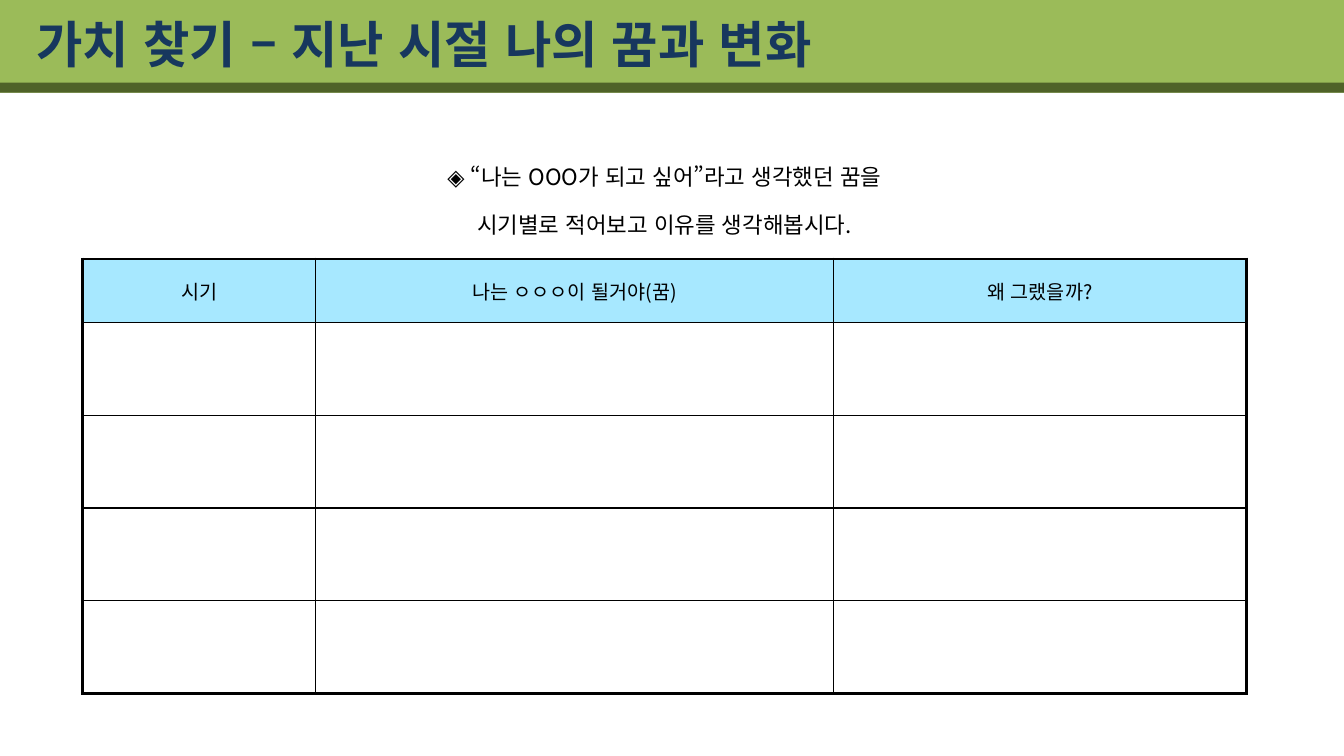
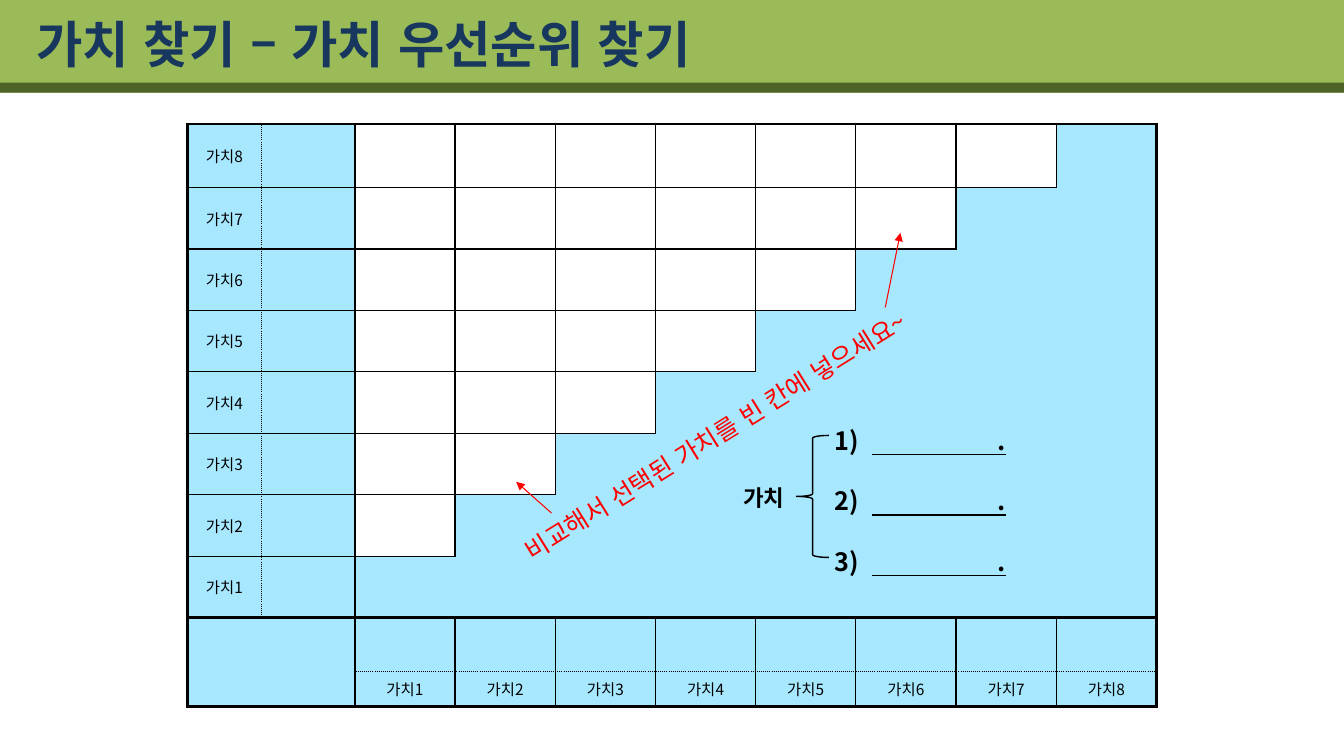
import lxml.etree
import pptx
import pptx.dml.color
import pptx.enum.shapes
import pptx.enum.text
import pptx.oxml
import pptx.oxml.ns
import pptx.util

Inches = pptx.util.Inches
Pt = pptx.util.Pt
qn = pptx.oxml.ns.qn
SHAPE = pptx.enum.shapes.MSO_SHAPE
ALIGN = pptx.enum.text.PP_ALIGN
ANCHOR = pptx.enum.text.MSO_ANCHOR

COLORS = {
    "band": "9BBB59",
    "stripe": "4F6228",
    "title": "17375E",
    "cell": "A7E8FF",
    "ink": "000000",
    "paper": "FFFFFF",
    "hint": "FF0000",
}
KOREAN = "Noto Sans CJK KR"
PLAIN_TABLE = "{2D5ABB26-0587-4C30-8999-92F81FD0307C}"
THIN = (1, "solid")
HEAVY = (2.25, "solid")
DOTTED = (1, "sysDot")
VALUES = 8


def rgb(name):
    return pptx.dml.color.RGBColor.from_string(COLORS[name])


def add_element(parent, tag, **attributes):
    return lxml.etree.SubElement(parent, qn(tag), attributes)


def write(frame, text, size, color="ink", font=KOREAN, bold=False,
          align=ALIGN.LEFT, spacing=None, anchor=ANCHOR.TOP):
    frame.word_wrap = True
    frame.vertical_anchor = anchor
    frame.text = text
    for paragraph in frame.paragraphs:
        paragraph.alignment = align
        if spacing:
            paragraph.line_spacing = spacing
        for run in paragraph.runs:
            run.font.size = Pt(size)
            run.font.bold = bold
            run.font.color.rgb = rgb(color)
            run.font.name = font
            run.font._element.set("lang", "ko-KR")
            add_element(run.font._element, "a:ea", typeface=KOREAN)


def add_text(slide, box, text, rotation=0, **text_format):
    label = slide.shapes.add_textbox(*map(Inches, box))
    label.rotation = rotation
    write(label.text_frame, text, **text_format)
    return label


def add_bands(slide):
    layout_tree = slide.slide_layout.shapes.element
    bands = [("band", 0, 0.92), ("stripe", 0.82, 0.1)]
    for position, (color, top, height) in enumerate(bands, start=2):
        band = slide.shapes.add_shape(
            SHAPE.RECTANGLE, 0, Inches(top), Inches(13.33), Inches(height))
        band.shadow.inherit = False
        band.fill.solid()
        band.fill.fore_color.rgb = rgb(color)
        band.line.fill.background()
        layout_tree.insert(position, band.element)


def add_titled_slide(deck, text):
    slide = deck.slides.add_slide(deck.slide_layouts[5])
    title = slide.shapes.title
    title.left, title.top, title.width, title.height = map(
        Inches, (0.26, 0.05, 10.66, 0.76))
    write(title.text_frame, text, size=36, color="title", font="Arial",
          bold=True, anchor=ANCHOR.MIDDLE)
    return slide


def add_grid(slide, left, top, widths, heights):
    frame = slide.shapes.add_table(
        len(heights), len(widths), Inches(left), Inches(top),
        Inches(sum(widths)), Inches(sum(heights)))
    grid = frame.table
    grid.first_row = grid.horz_banding = False
    grid._tbl.tblPr.find(qn("a:tableStyleId")).text = PLAIN_TABLE
    for column, width in zip(grid.columns, widths):
        column.width = Inches(width)
    for row, height in zip(grid.rows, heights):
        row.height = Inches(height)
    return grid


def style_cell(cell, fill, left, right, top, bottom, line="ink"):
    properties = cell._tc.get_or_add_tcPr()
    edges = {"a:lnL": left, "a:lnR": right, "a:lnT": top, "a:lnB": bottom}
    for tag, edge in edges.items():
        border = add_element(properties, tag)
        if edge:
            weight, dash = edge
            border.set("w", str(Pt(weight)))
            paint = add_element(border, "a:solidFill")
            add_element(paint, "a:srgbClr", val=COLORS[line])
            add_element(border, "a:prstDash", val=dash)
        else:
            add_element(border, "a:noFill")
    if fill:
        cell.fill.solid()
        cell.fill.fore_color.rgb = rgb(fill)
    else:
        cell.fill.background()


def write_cell(cell, text, size, **text_format):
    write(cell.text_frame, text, size=size, align=ALIGN.CENTER, **text_format)
    cell.vertical_anchor = ANCHOR.MIDDLE


def add_line(slide, start, end, color, weight, arrow=False):
    line = slide.shapes.add_connector(
        pptx.enum.shapes.MSO_CONNECTOR.STRAIGHT, *map(Inches, start + end))
    line.line.color.rgb = rgb(color)
    line.line.width = Pt(weight)
    if arrow:
        add_element(line.line._get_or_add_ln(), "a:tailEnd", type="triangle")
    add_element(line._element.spPr, "a:effectLst")


def add_brace(slide, box):
    brace = slide.shapes.add_shape(SHAPE.LEFT_BRACE, *map(Inches, box))
    brace.shadow.inherit = False
    brace.fill.background()
    brace.line.color.rgb = rgb("ink")
    brace.line.width = Pt(1)


def add_ranking_blanks(slide, box, count):
    blanks = add_text(slide, box, "\n".join(["\t."] * count), size=18,
                      bold=True, spacing=2)
    for number, paragraph in enumerate(blanks.text_frame.paragraphs):
        properties = paragraph._p.get_or_add_pPr()
        properties.set("marL", str(Inches(0.38)))
        properties.set("indent", str(Inches(-0.38)))
        add_element(properties, "a:buFont", typeface="+mj-lt")
        add_element(properties, "a:buAutoNum", type="arabicParenR")
        stops = add_element(properties, "a:tabLst")
        add_element(stops, "a:tab", pos=str(Inches(1.7)), algn="r")
        baseline = 4.51 + 0.6 * number
        add_line(slide, (8.65, baseline), (9.98, baseline), "ink", 1)


def add_dream_table(slide):
    widths = [2.31, 5.14, 4.09]
    heights = [1.34, 0.63] + [0.92] * 4
    last_row, last_column = len(heights) - 1, len(widths) - 1
    grid = add_grid(slide, 0.82, 1.23, widths, heights)

    prompt = grid.cell(0, 0)
    prompt.merge(grid.cell(0, last_column))
    write_cell(prompt,
               "◈ “나는 OOO가 되고 싶어”라고 생각했던 꿈을\n시기별로 적어보고 이유를 생각해봅시다.",
               size=16, spacing=1.5)
    style_cell(prompt, None, HEAVY, HEAVY, HEAVY, None, line="paper")

    for row in range(1, last_row + 1):
        for column in range(last_column + 1):
            style_cell(
                grid.cell(row, column), "cell" if row == 1 else None,
                left=HEAVY if column == 0 else THIN,
                right=HEAVY if column == last_column else THIN,
                top=HEAVY if row == 1 else THIN,
                bottom=HEAVY if row == last_row else THIN)

    for column, heading in enumerate(["시기", "나는 ㅇㅇㅇ이 될거야(꿈)", "왜 그랬을까?"]):
        write_cell(grid.cell(1, column), heading, size=14)


def is_blank(row, column):
    return column >= 2 and row + column <= VALUES


def vertical_edge(row, column):
    if column in (0, 2, VALUES + 2):
        return HEAVY
    if column == 1:
        return DOTTED if row < VALUES else None
    return THIN if row >= VALUES or row + column <= VALUES + 1 else None


def horizontal_edge(row, column):
    if row in (0, VALUES, VALUES + 2):
        return HEAVY
    if row == VALUES + 1:
        return DOTTED if column >= 2 else None
    return THIN if column < 2 or row + column <= VALUES + 1 else None


def add_comparison_table(slide):
    label_widths = [0.73, 0.93]
    value_width = (9.61 - sum(label_widths)) / VALUES
    widths = label_widths + [value_width] * VALUES
    heights = [0.63] + [0.61] * (VALUES - 1) + [0.53, 0.35]
    grid = add_grid(slide, 1.86, 1.23, widths, heights)

    grid.cell(VALUES, 0).merge(grid.cell(VALUES + 1, 1))
    for column in range(4, VALUES + 2):
        first_row = max(3, VALUES + 2 - column)
        grid.cell(first_row, column).merge(grid.cell(VALUES - 1, column))

    for row in range(len(heights)):
        for column in range(len(widths)):
            cell = grid.cell(row, column)
            style_cell(
                cell, None if is_blank(row, column) else "cell",
                left=vertical_edge(row, column),
                right=vertical_edge(row, column + cell.span_width),
                top=horizontal_edge(row, column),
                bottom=horizontal_edge(row + cell.span_height, column))

    for number in range(1, VALUES + 1):
        for row, column in [(VALUES - number, 0), (VALUES + 1, number + 1)]:
            write_cell(grid.cell(row, column), f"가치{number}", size=11)


def main():
    deck = pptx.Presentation()
    deck.slide_width, deck.slide_height = Inches(13.33), Inches(7.5)

    dreams = add_titled_slide(deck, "가치 찾기 – 지난 시절 나의 꿈과 변화")
    add_bands(dreams)
    add_dream_table(dreams)

    priorities = add_titled_slide(deck, "가치 찾기 – 가치 우선순위 찾기")
    add_comparison_table(priorities)
    add_text(priorities, (4.53, 4.12, 5.13, 0.4), "비교해서 선택된 가치를 빈 칸에 넣으세요~",
             rotation=328.1, size=18, color="hint", align=ALIGN.CENTER)
    add_line(priorities, (5.47, 5.09), (5.12, 4.78), "hint", 0.75, arrow=True)
    add_line(priorities, (8.78, 3.05), (8.93, 2.31), "hint", 0.75, arrow=True)
    add_ranking_blanks(priorities, (8.18, 3.87, 2.61, 1.82), count=3)
    add_text(priorities, (7.15, 4.75, 0.85, 0.37), "가치", size=16, bold=True,
             align=ALIGN.CENTER)
    add_brace(priorities, (7.9, 4.32, 0.32, 1.21))

    deck.save("out.pptx")


if __name__ == "__main__":
    main()
